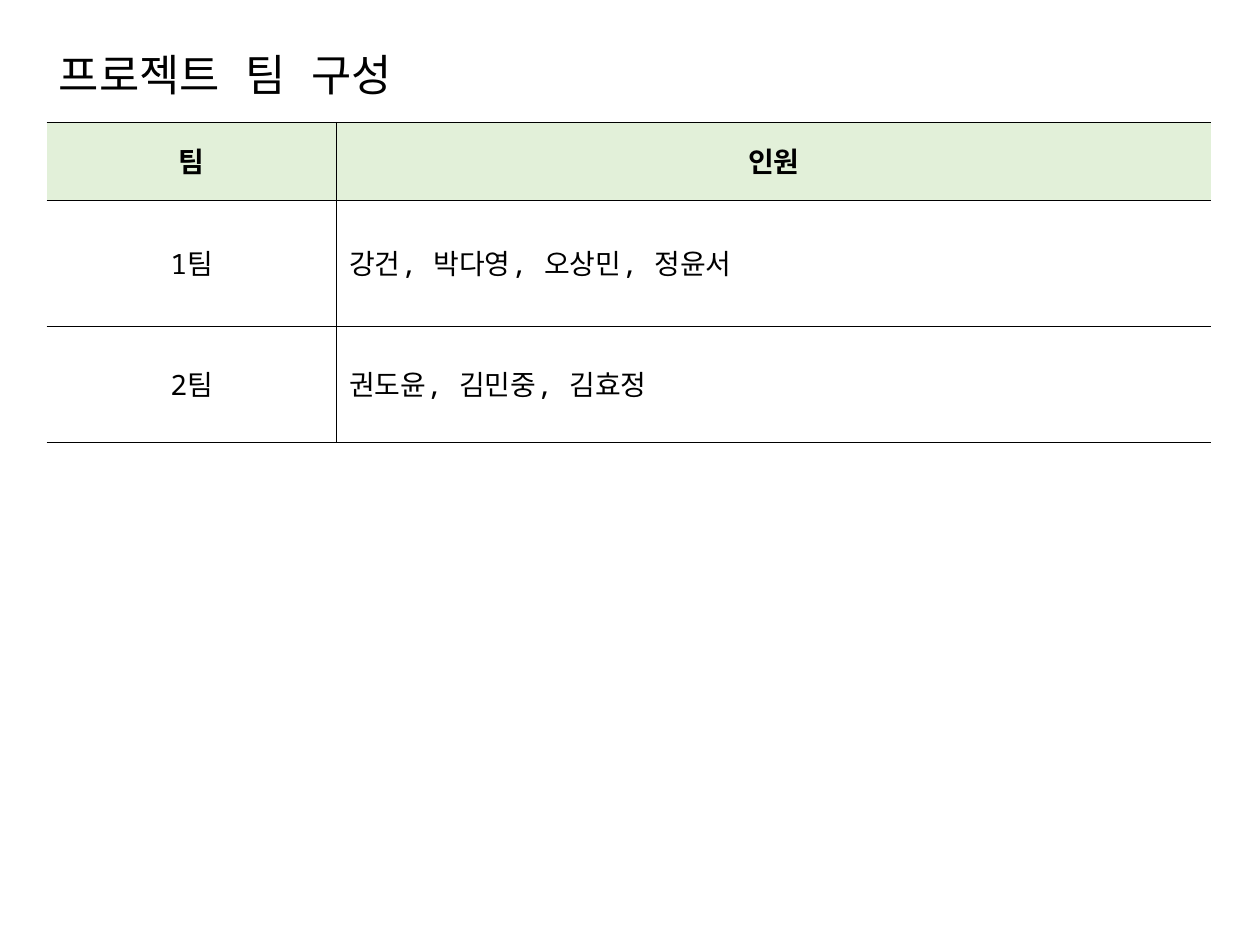
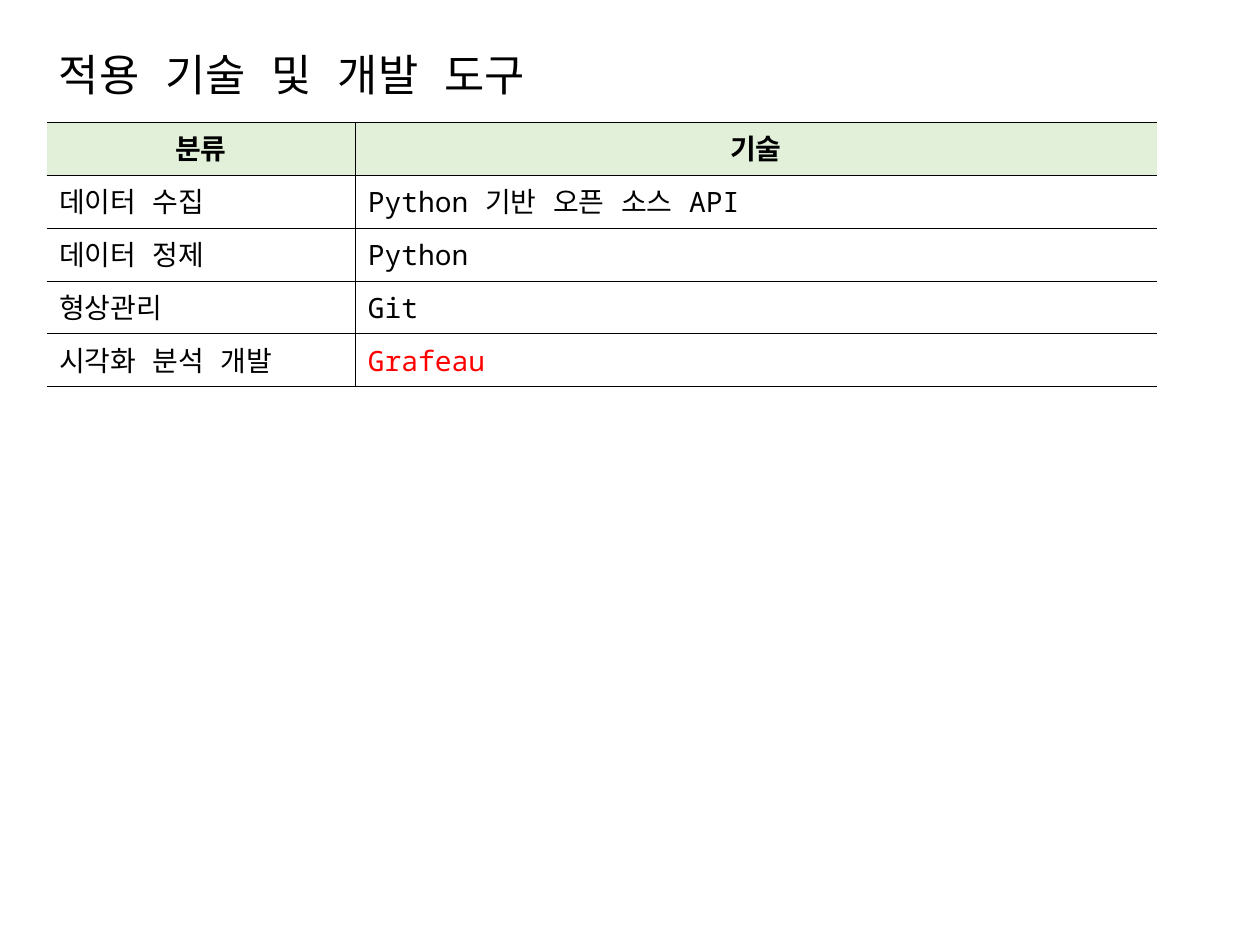
from dataclasses import dataclass

from lxml.etree import SubElement
from pptx import Presentation
from pptx.dml.color import RGBColor
from pptx.enum.text import MSO_ANCHOR, PP_ALIGN
from pptx.oxml.ns import qn
from pptx.util import Inches, Pt


@dataclass(frozen=True)
class Theme:
    """Colours, type and line sizes shared by the slides."""
    font: str = "Noto Sans Mono"
    ink: str = "000000"
    accent: str = "FF0000"
    header_fill: str = "E2F0D9"
    title_size: float = 25
    table_size: float = 16
    rule_width: float = 0.45


@dataclass(frozen=True)
class Box:
    """A region of a slide, in inches."""
    left: float
    top: float
    width: float
    height: float

    def lengths(self):
        """Return the region as lengths for python-pptx."""
        return [Inches(n) for n in (self.left, self.top, self.width, self.height)]


THEME = Theme()
TITLE_BOX = Box(0.37, 0.39, 9.24, 0.45)
TABLE_LEFT, TABLE_TOP = 0.37, 0.97


def style_para(para, size, color=THEME.ink, bold=False):
    """Give every run of a paragraph the deck font."""
    for span in para.runs:
        span.font.name = THEME.font
        span.font.size = Pt(size)
        span.font.bold = bold
        span.font.color.rgb = RGBColor.from_string(color)
        SubElement(span.font._element, qn("a:ea"), typeface=THEME.font)


def add_title(page, box, text):
    """Write the slide title in its box."""
    frame = page.shapes.add_textbox(*box.lengths()).text_frame
    frame.word_wrap = True
    frame.vertical_anchor = MSO_ANCHOR.MIDDLE
    frame.text = text
    para = frame.paragraphs[0]
    para.line_spacing = 0.9
    style_para(para, THEME.title_size)


def add_borders(cell, drawn_sides):
    """Rule the given sides of a cell and leave the others open."""
    properties = cell._tc.get_or_add_tcPr()
    for side in "LRTB":
        line = SubElement(properties, qn(f"a:ln{side}"), w=str(Pt(THEME.rule_width)))
        if side in drawn_sides:
            fill = SubElement(line, qn("a:solidFill"))
            SubElement(fill, qn("a:srgbClr"), val=THEME.ink)
        else:
            SubElement(line, qn("a:noFill"))


def add_ruled_table(page, left, top, widths, heights, rows, centred_labels=False, accents=()):
    """Draw a two-column table with a tinted header and open outer sides."""
    box = Box(left, top, sum(widths), sum(heights))
    table = page.shapes.add_table(len(rows), len(widths), *box.lengths()).table
    table.first_row = table.horz_banding = False
    for column, width in zip(table.columns, widths):
        column.width = Inches(width)
    for row_index, (height, texts) in enumerate(zip(heights, rows)):
        table.rows[row_index].height = Inches(height)
        is_header = row_index == 0
        for column_index, text in enumerate(texts):
            cell = table.cell(row_index, column_index)
            is_label = column_index == 0
            add_borders(cell, "RTB" if is_label else "LTB")
            if is_header:
                cell.fill.solid()
                cell.fill.fore_color.rgb = RGBColor.from_string(THEME.header_fill)
            else:
                cell.fill.background()
            cell.vertical_anchor = MSO_ANCHOR.MIDDLE
            cell.text_frame.text = text
            para = cell.text_frame.paragraphs[0]
            centred = is_header or (is_label and centred_labels)
            para.alignment = PP_ALIGN.CENTER if centred else PP_ALIGN.LEFT
            color = THEME.accent if text in accents else THEME.ink
            style_para(para, THEME.table_size, color, is_header)


def add_table_slide(deck, title, **table):
    """Add a slide with a title above one ruled table."""
    page = deck.slides.add_slide(deck.slide_layouts[6])
    add_title(page, TITLE_BOX, title)
    add_ruled_table(page, TABLE_LEFT, TABLE_TOP, **table)


def main():
    """Build and save the deck."""
    deck = Presentation()
    deck.slide_width, deck.slide_height = Inches(10), Inches(7.5)
    add_table_slide(
        deck, "프로젝트 팀 구성",
        widths=[2.3, 6.94], heights=[0.62, 1, 0.92], centred_labels=True,
        rows=[("팀", "인원"),
              ("1팀", "강건, 박다영, 오상민, 정윤서"),
              ("2팀", "권도윤, 김민중, 김효정")])
    add_table_slide(
        deck, "적용 기술 및 개발 도구",
        widths=[2.45, 6.36], heights=[0.42] * 5, accents=("Grafeau",),
        rows=[("분류", "기술"),
              ("데이터 수집", "Python 기반 오픈 소스 API"),
              ("데이터 정제", "Python"),
              ("형상관리", "Git"),
              ("시각화 분석 개발", "Grafeau")])
    deck.save("out.pptx")


if __name__ == "__main__":
    main()
